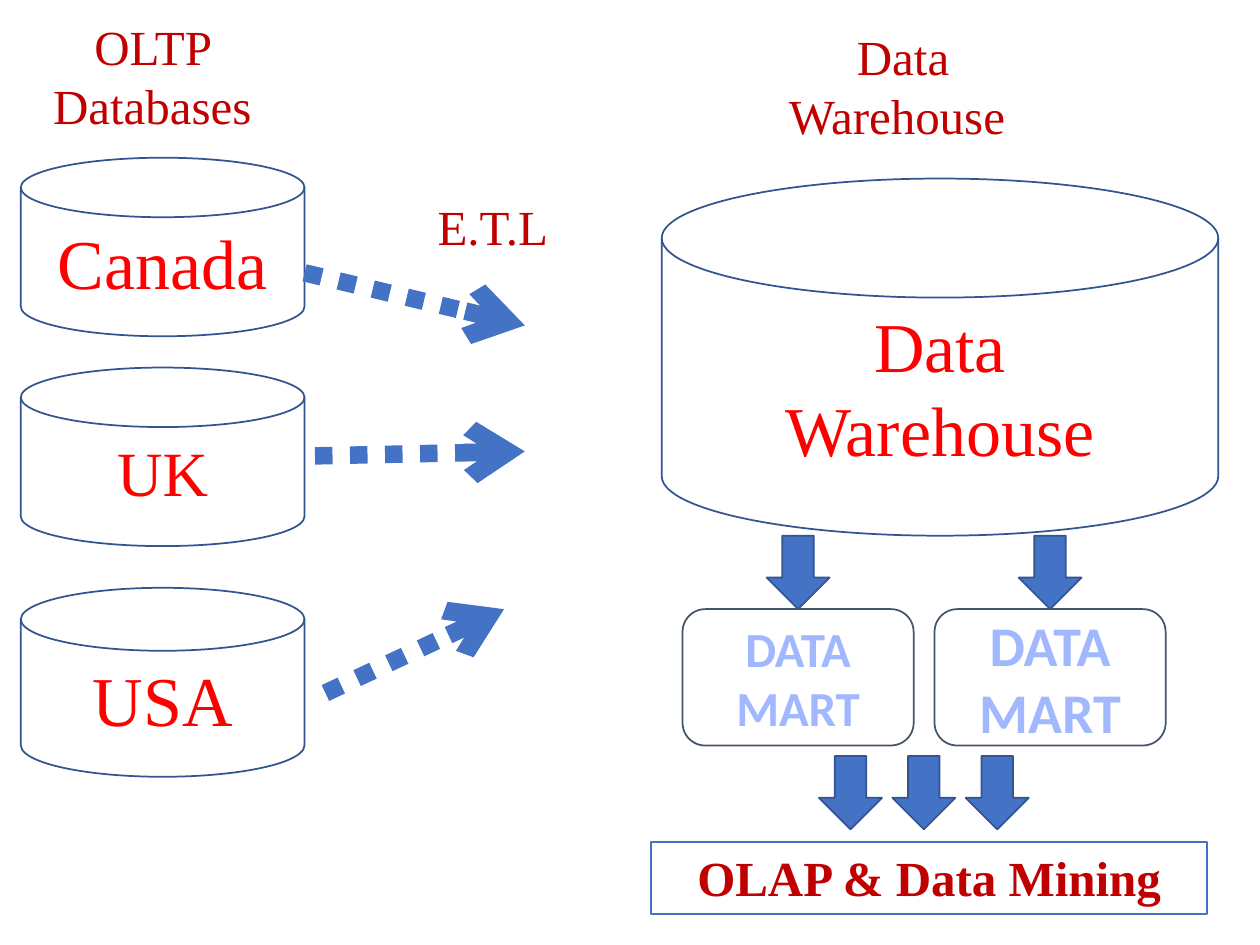
from lxml.etree import SubElement
from pptx import Presentation
from pptx.dml.color import RGBColor as Rgb
from pptx.enum.dml import MSO_LINE as Dash
from pptx.enum.shapes import MSO_CONNECTOR as Link, MSO_SHAPE as Kind
from pptx.enum.text import MSO_ANCHOR as Anchor, PP_ALIGN as Align
from pptx.oxml.ns import qn
from pptx.util import Cm, Pt

HUES = {"white": "FFFFFF", "blue": "4472C4", "edge": "325491", "slate": "44546A",
        "red": "FF0000", "dark": "C00000", "pale": "A1B8FF"}
ARROW = (1.27, 1.48)


def hue(name):
    return Rgb.from_string(HUES[name])


def write(shape, text, size=28, color="dark", font="Times New Roman",
          bold=False, anchor=Anchor.MIDDLE):
    frame = shape.text_frame
    frame.word_wrap = True
    frame.vertical_anchor = anchor
    frame.text = text
    for para in frame.paragraphs:
        para.alignment = Align.CENTER
        for run in para.runs:
            run.font.name = font
            run.font.size = Pt(size)
            run.font.bold = bold
            run.font.color.rgb = hue(color)
    return frame


def label(slide, box, text):
    write(slide.shapes.add_textbox(*map(Cm, box)), text, anchor=Anchor.TOP)


def draw(slide, kind, box, fill=None, line="edge"):
    shape = slide.shapes.add_shape(kind, *map(Cm, box))
    shape.shadow.inherit = False
    if fill:
        shape.fill.solid()
        shape.fill.fore_color.rgb = hue(fill)
    else:
        shape.fill.background()
    shape.line.color.rgb = hue(line)
    shape.line.width = Pt(1)
    return shape


def disk(slide, box, text, size=40):
    shape = draw(slide, Kind.FLOWCHART_MAGNETIC_DISK, box)
    return write(shape, text, size=size, color="red")


def down(slide, left, top):
    draw(slide, Kind.DOWN_ARROW, (left, top, *ARROW), "blue")


def flow(slide, start, end):
    line = slide.shapes.add_connector(Link.STRAIGHT, *map(Cm, start + end))
    line.line.color.rgb = hue("blue")
    line.line.width = Pt(10)
    line.line.dash_style = Dash.ROUND_DOT
    SubElement(line.line._get_or_add_ln(), qn("a:tailEnd"), type="arrow")
    SubElement(line._element.spPr, qn("a:effectLst"))


def sources(slide, left, top, width):
    label(slide, (left + 0.21, top, 4.88, 2.64), "OLTP Databases")
    rows = [("Canada", 2.97, 3.6, 40), ("UK", 7.2, 3.6, 36), ("USA", 11.64, 3.81, 40)]
    for name, drop, high, size in rows:
        disk(slide, (left, top + drop, width, high), name, size)


def loading(slide, left, top):
    label(slide, (left + 0.62, top, 6.35, 1.45), "E.T.L")
    lines = [(0, 1.66, 4.44, 2.72), (0.21, 5.35, 4.44, 5.26), (0.42, 10.13, 4.02, 8.44)]
    for x1, y1, x2, y2 in lines:
        flow(slide, (left + x1, top + y1), (left + x2, top + y2))


def store(slide, left, top, width):
    label(slide, (left + 1.9, top, 5.93, 2.64), "Data Warehouse ")
    frame = disk(slide, (left, top + 3.18, width, 7.2), "Data\nWarehouse")
    first = frame.paragraphs[0]._p.get_or_add_pPr()
    first.set("marL", "0")
    first.set("indent", str(-Cm(1.06)))


def marts(slide, left, top, width):
    for i, size in enumerate((28, 32)):
        x = left + i * 5.08
        mart = draw(slide, Kind.ROUNDED_RECTANGLE, (x, top + ARROW[1], width, 2.75),
                    "white", "slate")
        write(mart, "DATA MART", size=size, color="pale", font="Calibri", bold=True)
        down(slide, x + (width - ARROW[0]) / 2, top)


def mining(slide, left, top, width):
    for i in range(3):
        down(slide, left + 3.39 + i * 1.48, top)
    bar = draw(slide, Kind.RECTANGLE, (left, top + 1.73, width, 1.45), "white", "blue")
    write(bar, "OLAP & Data Mining", bold=True, anchor=Anchor.TOP)


def main():
    deck = Presentation()
    deck.slide_width, deck.slide_height = Cm(25.4), Cm(19.05)
    slide = deck.slides.add_slide(deck.slide_layouts[6])
    sources(slide, 0.42, 0.21, 5.72)
    loading(slide, 6.14, 3.84)
    store(slide, 13.34, 0.42, 11.22)
    marts(slide, 13.76, 10.8, 4.66)
    mining(slide, 13.12, 15.24, 11.22)
    deck.save("out.pptx")


if __name__ == "__main__":
    main()
